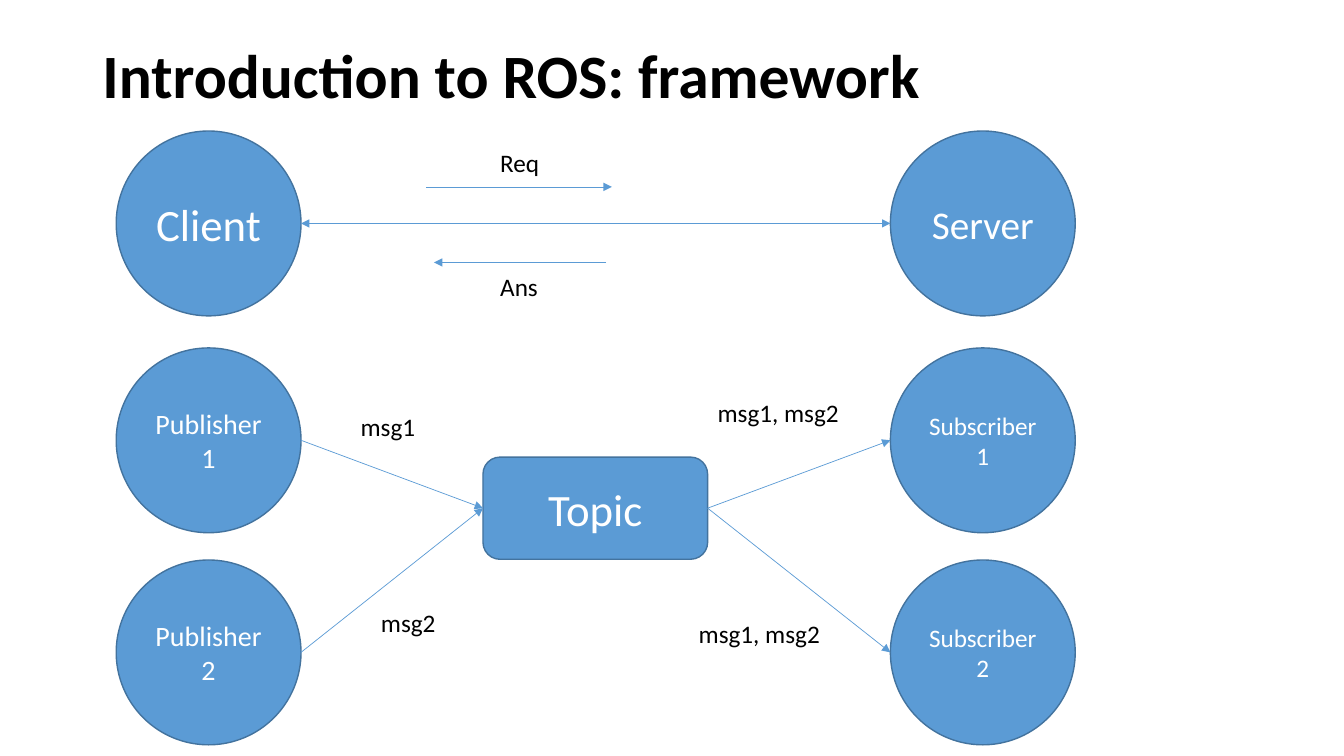
from lxml import etree
from pptx import Presentation
from pptx.dml.color import RGBColor
from pptx.enum.shapes import MSO_CONNECTOR, MSO_SHAPE
from pptx.enum.text import MSO_ANCHOR, MSO_AUTO_SIZE, PP_ALIGN
from pptx.oxml.ns import qn
from pptx.util import Pt


def paint(color_format, hex_color):
    """Set a colour format to a hex colour."""
    color_format.rgb = RGBColor.from_string(hex_color)


def write(frame, wording, size, hex_color, align, anchor):
    """Write one run of Calibri into a text frame and return it."""
    frame.word_wrap = True
    frame.vertical_anchor = anchor
    paragraph = frame.paragraphs[0]
    paragraph.alignment = align
    run = paragraph.add_run()
    run.text = wording
    run.font.name = "Calibri"
    run.font.size = Pt(size)
    paint(run.font.color, hex_color)
    return run


BLUE, OUTLINE, WHITE, BLACK = "5B9BD5", "43739E", "FFFFFF", "000000"

deck = Presentation()
deck.slide_width, deck.slide_height = Pt(960), Pt(540)
slide = deck.slides.add_slide(deck.slide_layouts[5])
shapes = slide.shapes

# Title
title = shapes.title
title.left, title.top, title.width, title.height = Pt(66), Pt(28.8), Pt(828), Pt(104.4)
heading = write(title.text_frame, "Introduction to ROS: framework", 44, BLACK,
                PP_ALIGN.LEFT, MSO_ANCHOR.TOP)
heading.font.bold = True
title.text_frame.auto_size = MSO_AUTO_SIZE.NONE
title.text_frame.paragraphs[0].line_spacing = 0.9

# Nodes: two columns of circles around the topic
DIAMETER = 132
LEFT_COLUMN, RIGHT_COLUMN = 83, 636
SERVICE_ROW, FIRST_ROW, SECOND_ROW = 93.6, 248.5, 400
TOPIC_LEFT, TOPIC_TOP, TOPIC_WIDTH, TOPIC_HEIGHT = 345, 326.5, 160.5, 73

nodes = [
    ("Client", 32, LEFT_COLUMN, SERVICE_ROW),
    ("Publisher 1", 20, LEFT_COLUMN, FIRST_ROW),
    ("Publisher 2", 20, LEFT_COLUMN, SECOND_ROW),
    ("Server", 28, RIGHT_COLUMN, SERVICE_ROW),
    ("Subscriber 1", 18, RIGHT_COLUMN, FIRST_ROW),
    ("Subscriber 2", 18, RIGHT_COLUMN, SECOND_ROW),
]
outlines = [(MSO_SHAPE.OVAL, wording, size, left, top, DIAMETER, DIAMETER)
            for wording, size, left, top in nodes]
outlines.append((MSO_SHAPE.ROUNDED_RECTANGLE, "Topic", 32,
                 TOPIC_LEFT, TOPIC_TOP, TOPIC_WIDTH, TOPIC_HEIGHT))
for preset, wording, size, left, top, width, height in outlines:
    node = shapes.add_shape(preset, Pt(left), Pt(top), Pt(width), Pt(height))
    node.shadow.inherit = False
    node.fill.solid()
    paint(node.fill.fore_color, BLUE)
    paint(node.line.color, OUTLINE)
    node.line.width = Pt(1)
    write(node.text_frame, wording, size, WHITE, PP_ALIGN.CENTER, MSO_ANCHOR.MIDDLE)

# Arrows: start x, start y, end x, end y, arrowheads
left_edge = LEFT_COLUMN + DIAMETER
topic_right = TOPIC_LEFT + TOPIC_WIDTH
topic_middle = TOPIC_TOP + TOPIC_HEIGHT / 2
service_middle = SERVICE_ROW + DIAMETER / 2
arrows = [
    (left_edge, service_middle, RIGHT_COLUMN, service_middle, ("headEnd", "tailEnd")),
    (304.5, 133.5, 437, 133.5, ("tailEnd",)),
    (433, 187.5, 310, 187.5, ("tailEnd",)),
]
for row in (FIRST_ROW, SECOND_ROW):
    middle = row + DIAMETER / 2
    arrows.append((left_edge, middle, TOPIC_LEFT, topic_middle, ("tailEnd",)))
    arrows.append((topic_right, topic_middle, RIGHT_COLUMN, middle, ("tailEnd",)))
for start_x, start_y, end_x, end_y, ends in arrows:
    arrow = shapes.add_connector(MSO_CONNECTOR.STRAIGHT, Pt(start_x), Pt(start_y),
                                 Pt(end_x), Pt(end_y))
    paint(arrow.line.color, BLUE)
    arrow.line.width = Pt(0.5)
    for end in ends:
        etree.SubElement(arrow.line._get_or_add_ln(), qn(f"a:{end}"), type="triangle")
    etree.SubElement(arrow._element.spPr, qn("a:effectLst"))

# Message labels
labels = [
    ("Req", 310, 101.5, 122.5, PP_ALIGN.CENTER),
    ("Ans", 309.5, 190, 122.5, PP_ALIGN.CENTER),
    ("msg1", 250.5, 290, 64, PP_ALIGN.LEFT),
    ("msg2", 265, 430.5, 64, PP_ALIGN.LEFT),
    ("msg1, msg2", 505.5, 280, 127, PP_ALIGN.LEFT),
    ("msg1, msg2", 492, 438, 127, PP_ALIGN.LEFT),
]
for wording, left, top, width, align in labels:
    label = shapes.add_textbox(Pt(left), Pt(top), Pt(width), Pt(29))
    write(label.text_frame, wording, 18, BLACK, align, MSO_ANCHOR.TOP)

deck.save("out.pptx")
